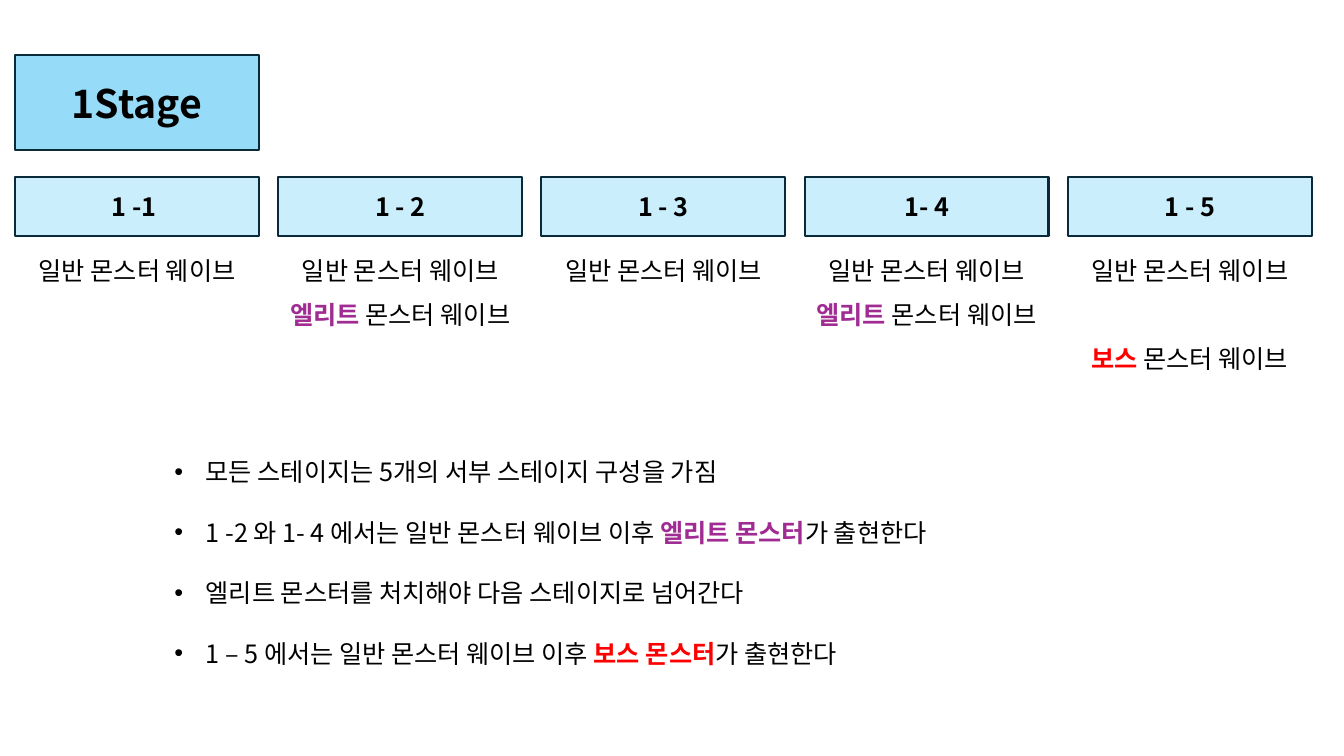
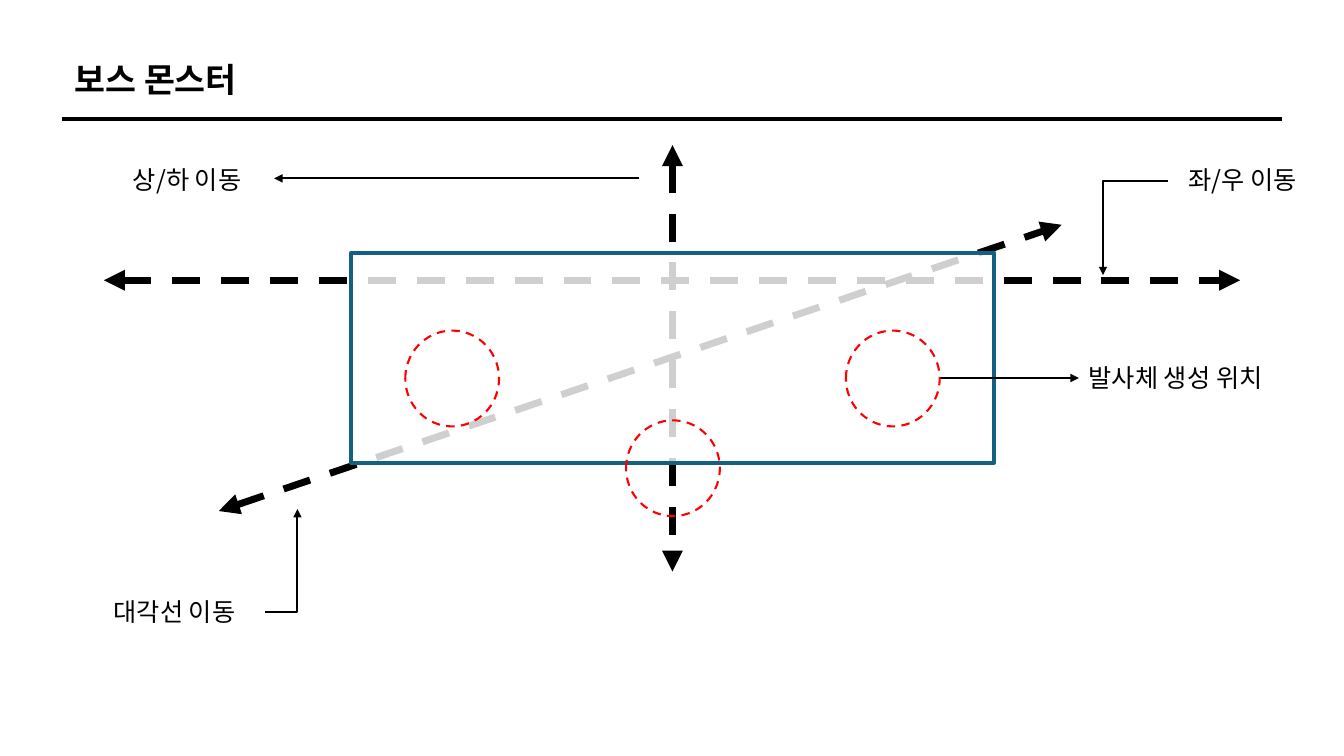
from dataclasses import dataclass
from typing import Optional

from lxml.etree import SubElement
from pptx import Presentation
from pptx.dml.color import RGBColor
from pptx.enum.dml import MSO_LINE
from pptx.enum.shapes import MSO_CONNECTOR, MSO_SHAPE
from pptx.enum.text import MSO_ANCHOR, MSO_AUTO_SIZE, PP_ALIGN
from pptx.oxml.ns import qn
from pptx.util import Inches, Pt

FONT = "Noto Sans CJK KR"
BLACK = RGBColor(0x00, 0x00, 0x00)
WHITE = RGBColor(0xFF, 0xFF, 0xFF)
RED = RGBColor(0xFF, 0x00, 0x00)
PURPLE = RGBColor(0xA0, 0x2B, 0x93)
STAGE_BLUE = RGBColor(0x96, 0xDC, 0xF8)
STEP_BLUE = RGBColor(0xCA, 0xEE, 0xFB)
BOX_EDGE = RGBColor(0x09, 0x2A, 0x39)
BOSS_EDGE = RGBColor(0x15, 0x60, 0x82)

COLUMN_LEFT, COLUMN_PITCH, COLUMN_WIDTH = 0.15, 2.61, 2.42
WAVE_TOP, WAVE_PITCH = 2.48, 0.44
TEXT_HEIGHT = 0.4


@dataclass(frozen=True)
class Span:
    text: str
    color: RGBColor = BLACK
    bold: bool = False


@dataclass(frozen=True)
class Area:
    left: float
    top: float
    width: float
    height: float

    def lengths(self) -> tuple:
        return tuple(Inches(n) for n in (self.left, self.top, self.width, self.height))


@dataclass(frozen=True)
class Stroke:
    width: float
    color: RGBColor = BLACK
    dashed: bool = False
    head: bool = False
    tail: bool = False


@dataclass(frozen=True)
class Step:
    name: str
    waves: dict


@dataclass(frozen=True)
class Label:
    text: str
    left: float
    top: float
    width: float = 2.35


WAVE_TAIL = Span(" 몬스터 웨이브")
NORMAL = (Span("일반 몬스터 웨이브"),)
ELITE = (Span("엘리트", PURPLE, True), WAVE_TAIL)
BOSS = (Span("보스", RED, True), WAVE_TAIL)

STEPS = (
    Step("1 -1 ", {0: NORMAL}),
    Step("1 - 2", {0: NORMAL, 1: ELITE}),
    Step("1 - 3", {0: NORMAL}),
    Step("1- 4", {0: NORMAL, 1: ELITE}),
    Step("1 - 5", {0: NORMAL, 2: BOSS}),
)

RULES = (
    (Span("모든 스테이지는 5개의 서부 스테이지 구성을 가짐"),),
    (
        Span("1 -2 와 1- 4 에서는 일반 몬스터 웨이브 이후 "),
        Span("엘리트 몬스터", PURPLE, True),
        Span("가 출현한다"),
    ),
    (Span("엘리트 몬스터를 처치해야 다음 스테이지로 넘어간다"),),
    (
        Span("1 – 5 에서는 일반 몬스터 웨이브 이후 "),
        Span("보스 몬스터", RED, True),
        Span("가 출현한다"),
    ),
)

BOX_LINE = Stroke(1.5, BOX_EDGE)
TITLE_RULE = Stroke(2.75)
MOVE = Stroke(5, dashed=True, head=True, tail=True)
POINTER = Stroke(1.5, tail=True)
MUZZLE = Stroke(1.5, RED, dashed=True)

MOVES = (
    ((2.17, 5.07), (10.53, 2.23)),
    ((6.67, 1.44), (6.67, 5.67)),
    ((1.03, 2.78), (12.3, 2.78)),
)
POINTERS = (((6.34, 1.77), (2.72, 1.77)), ((9.32, 3.75), (10.7, 3.75)))
ELBOWS = (
    ((11.58, 1.8), (10.94, 1.8), (10.94, 2.73)),
    ((2.63, 6.07), (2.95, 6.07), (2.95, 5.05)),
)
MUZZLES = ((8.39, 3.28), (4.02, 3.28), (6.21, 4.17))
LABELS = (
    Label("발사체 생성 위치", 10.7, 3.55),
    Label("좌/우 이동", 11.69, 1.58, 1.64),
    Label("상/하 이동", 1.22, 1.58),
    Label("대각선 이동", 1.03, 5.87),
)


def write_para(para, spans: tuple, size: float, align=PP_ALIGN.LEFT) -> None:
    para.alignment = align
    para.space_before = Pt(0)
    for span in spans:
        run = para.add_run()
        run.text = span.text
        font = run.font
        font.size, font.bold, font.name = Pt(size), span.bold, FONT
        font.color.rgb = span.color
        SubElement(font._element, qn("a:ea")).set("typeface", FONT)


def apply_stroke(shape, stroke: Stroke) -> None:
    line = shape.line
    line.width = Pt(stroke.width)
    line.color.rgb = stroke.color
    if stroke.dashed:
        line.dash_style = MSO_LINE.DASH
    outline = shape._element.spPr.find(qn("a:ln"))
    for shown, tag in ((stroke.head, "a:headEnd"), (stroke.tail, "a:tailEnd")):
        if shown:
            SubElement(outline, qn(tag)).set("type", "triangle")


def apply_fill(shape, color: Optional[RGBColor], opacity: int = 100) -> None:
    if color is None:
        shape.fill.background()
        return
    shape.fill.solid()
    shape.fill.fore_color.rgb = color
    if opacity < 100:
        paint = shape._element.spPr.find(qn("a:solidFill"))[0]
        SubElement(paint, qn("a:alpha")).set("val", str(opacity * 1000))


def place(shape, area: Area) -> None:
    shape.left, shape.top, shape.width, shape.height = area.lengths()


def add_box(page, kind, area: Area, stroke: Stroke, color=None, opacity: int = 100):
    box = page.shapes.add_shape(kind, *area.lengths())
    box.shadow.inherit = False
    apply_fill(box, color, opacity)
    apply_stroke(box, stroke)
    return box


def add_text(page, area: Area, spans: tuple, align=PP_ALIGN.LEFT, inset: float = 0.1) -> None:
    frame = page.shapes.add_textbox(*area.lengths()).text_frame
    frame.word_wrap = True
    frame.margin_left = frame.margin_right = Inches(inset)
    write_para(frame.paragraphs[0], spans, 18, align)


def add_line(page, start: tuple, end: tuple, stroke: Stroke) -> None:
    ends = (Inches(n) for n in (*start, *end))
    line = page.shapes.add_connector(MSO_CONNECTOR.STRAIGHT, *ends)
    apply_stroke(line, stroke)
    SubElement(line._element.spPr, qn("a:effectLst"))


def add_elbow(page, points: tuple) -> None:
    start, *rest = [(Inches(x), Inches(y)) for x, y in points]
    builder = page.shapes.build_freeform(*start)
    builder.add_line_segments(rest, close=False)
    elbow = builder.convert_to_shape()
    elbow.shadow.inherit = False
    apply_fill(elbow, None)
    apply_stroke(elbow, POINTER)


def set_title(page, text: str, area: Area, size: float, align, anchor):
    title = page.shapes.title
    place(title, area)
    frame = title.text_frame
    frame.auto_size = MSO_AUTO_SIZE.NONE
    frame.vertical_anchor = anchor
    write_para(frame.paragraphs[0], (Span(text, bold=True),), size, align)
    return title


def set_rules(page) -> None:
    body = page.placeholders[1]
    place(body, Area(1.63, 4.18, 10.06, 3.03))
    frame = body.text_frame
    frame.auto_size = MSO_AUTO_SIZE.NONE
    for index, spans in enumerate(RULES):
        para = frame.add_paragraph() if index else frame.paragraphs[0]
        write_para(para, spans, 18)
        para.line_spacing = 2.0
        settings = para._p.get_or_add_pPr()
        settings.set("marL", str(Inches(0.31)))
        settings.set("indent", str(-Inches(0.31)))
        SubElement(settings, qn("a:buFont")).set("typeface", "Arial")
        SubElement(settings, qn("a:buChar")).set("char", "•")


def build_stage_page(deck) -> None:
    page = deck.slides.add_slide(deck.slide_layouts[1])
    title_area = Area(COLUMN_LEFT, 0.55, COLUMN_WIDTH, 0.94)
    title = set_title(page, "1Stage", title_area, 28, PP_ALIGN.CENTER, MSO_ANCHOR.MIDDLE)
    apply_fill(title, STAGE_BLUE)
    apply_stroke(title, BOX_LINE)
    set_rules(page)
    for index, step in enumerate(STEPS):
        left = COLUMN_LEFT + index * COLUMN_PITCH
        area = Area(left, 1.76, COLUMN_WIDTH, 0.58)
        frame = add_box(page, MSO_SHAPE.RECTANGLE, area, BOX_LINE, STEP_BLUE).text_frame
        frame.vertical_anchor = MSO_ANCHOR.MIDDLE
        write_para(frame.paragraphs[0], (Span(step.name, bold=True),), 18, PP_ALIGN.CENTER)
        for row, spans in step.waves.items():
            wave = Area(left, WAVE_TOP + row * WAVE_PITCH, COLUMN_WIDTH, TEXT_HEIGHT)
            add_text(page, wave, spans, PP_ALIGN.CENTER, inset=0)


def build_boss_page(deck) -> None:
    page = deck.slides.add_slide(deck.slide_layouts[5])
    title_area = Area(0.64, 0.53, 6.31, 0.5)
    set_title(page, "보스 몬스터", title_area, 24, PP_ALIGN.LEFT, MSO_ANCHOR.TOP)
    add_line(page, (0.62, 1.18), (12.72, 1.18), TITLE_RULE)
    for start, end in MOVES:
        add_line(page, start, end, MOVE)
    boss_area = Area(3.48, 2.51, 6.38, 2.08)
    add_box(page, MSO_SHAPE.RECTANGLE, boss_area, Stroke(3, BOSS_EDGE), WHITE, 81)
    for start, end in POINTERS:
        add_line(page, start, end, POINTER)
    for left, top in MUZZLES:
        add_box(page, MSO_SHAPE.OVAL, Area(left, top, 0.93, 0.95), MUZZLE)
    for points in ELBOWS:
        add_elbow(page, points)
    for label in LABELS:
        area = Area(label.left, label.top, label.width, TEXT_HEIGHT)
        add_text(page, area, (Span(label.text),))


def main() -> None:
    deck = Presentation()
    deck.slide_width, deck.slide_height = Inches(13.33), Inches(7.5)
    build_stage_page(deck)
    build_boss_page(deck)
    deck.save("out.pptx")


if __name__ == "__main__":
    main()
